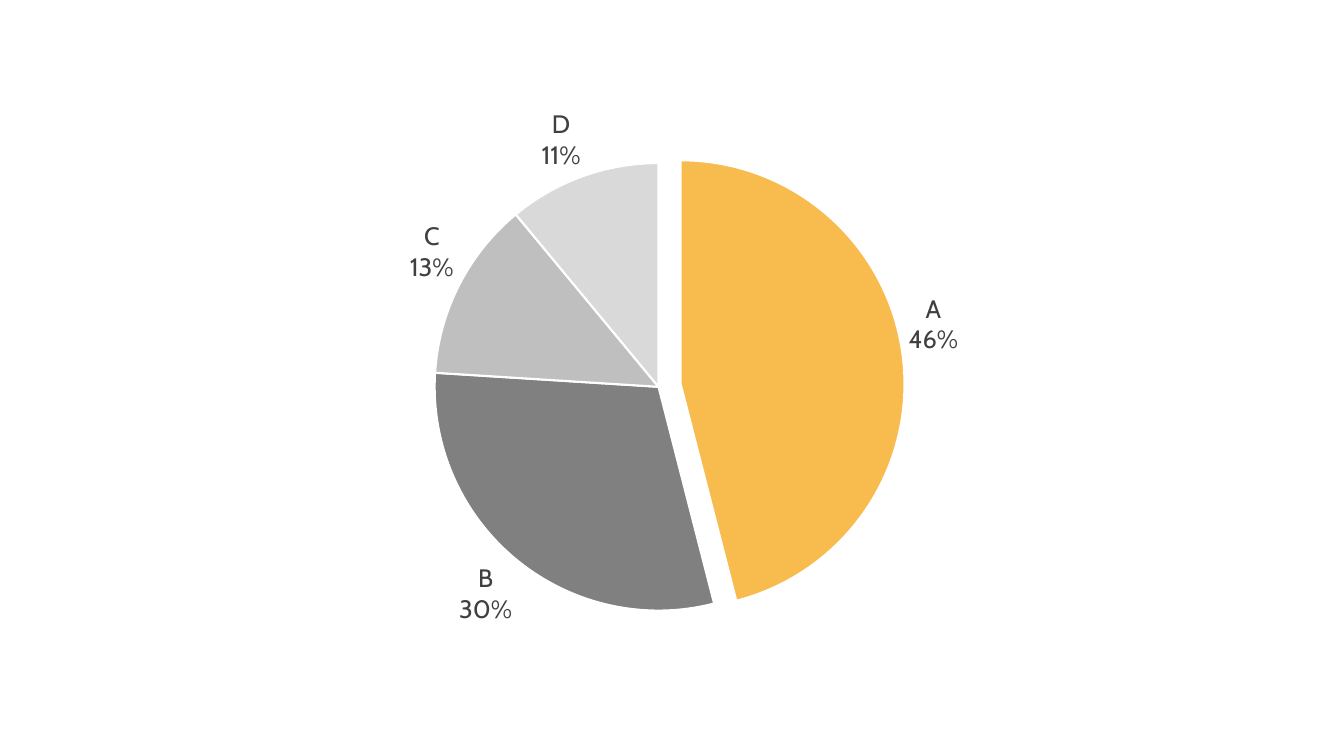
from pptx import Presentation
from pptx import util as u
from pptx.chart.data import CategoryChartData
from pptx.dml.color import RGBColor
from pptx.enum import chart as ch
from pptx.oxml import parse_xml
from pptx.oxml.ns import nsdecls

AMBER = RGBColor(0xF8, 0xBB, 0x4E)
GREY = RGBColor(0x80, 0x80, 0x80)
SILVER = RGBColor(0xBF, 0xBF, 0xBF)
PALE = RGBColor(0xD9, 0xD9, 0xD9)
WHITE = RGBColor(0xFF, 0xFF, 0xFF)
INK = RGBColor(0x40, 0x40, 0x40)

SHARES = {"A": (46, AMBER), "B": (30, GREY), "C": (13, SILVER), "D": (11, PALE)}


class Deck:
    """Slide builder that holds the style and the current slide, with lengths on a 12 by 19 grid."""

    font, size, columns, rows = "Cabin", u.Pt(18), 12, 19

    def __init__(self):
        self.prs = Presentation()
        self.prs.slide_width, self.prs.slide_height = u.Inches(13.33), u.Inches(7.5)
        self.s = self.prs.slides.add_slide(self.prs.slide_layouts[6])

    def grid(self, column, row):
        return (int(self.prs.slide_width * column / self.columns),
                int(self.prs.slide_height * row / self.rows))

    def pie(self, at, span, shares, plot_area, explosion):
        data = CategoryChartData()
        data.categories = list(shares)
        data.add_series("Series 1", [value for value, _ in shares.values()])
        frame = self.s.shapes.add_chart(
            ch.XL_CHART_TYPE.PIE, *self.grid(*at), *self.grid(*span), data)
        chart = frame.chart
        chart.has_legend = chart.has_title = False
        chart.font.name, chart.font.size = self.font, self.size
        plot = chart.plots[0]
        plot.vary_by_categories = True
        series = plot.series[0]
        for i, (_, color) in enumerate(shares.values()):
            fmt = series.points[i].format
            fmt.fill.solid()
            fmt.fill.fore_color.rgb = color
            fmt.line.color.rgb = WHITE
            fmt.line.width = u.Pt(1.5)
        self.explode_first(series, explosion)
        self.label(series.data_labels)
        self.place_plot(chart, plot_area)

    def explode_first(self, series, percent):
        sp_pr = series._element.xpath("c:dPt[1]/c:spPr")[0]
        sp_pr.addprevious(parse_xml(f'<c:explosion {nsdecls("c")} val="{percent}"/>'))

    def label(self, labels):
        labels.show_category_name = labels.show_percentage = True
        labels.show_value = False
        labels.number_format, labels.number_format_is_linked = "0%", False
        labels.position = ch.XL_LABEL_POSITION.OUTSIDE_END
        labels.font.name, labels.font.size = self.font, self.size
        labels.font.color.rgb = INK
        last_flag = labels._element.xpath("c:showBubbleSize")[0]
        last_flag.addnext(parse_xml(f'<c:separator {nsdecls("c")}>\n</c:separator>'))

    def place_plot(self, chart, area):
        plot_area = chart._chartSpace.xpath("c:chart/c:plotArea")[0]
        for layout in plot_area.xpath("c:layout"):
            plot_area.remove(layout)
        sizes = "".join(f'<c:{key} val="{value}"/>' for key, value in zip("xywh", area))
        plot_area.insert(0, parse_xml(
            f'<c:layout {nsdecls("c")}><c:manualLayout><c:layoutTarget val="inner"/>'
            f'<c:xMode val="edge"/><c:yMode val="edge"/>{sizes}</c:manualLayout></c:layout>'))


def main():
    deck = Deck()
    deck.pie((2, 2), (8, 15), SHARES, plot_area=(0.23, 0.14, 0.51, 0.75), explosion=10)
    deck.prs.save("out.pptx")


if __name__ == "__main__":
    main()
